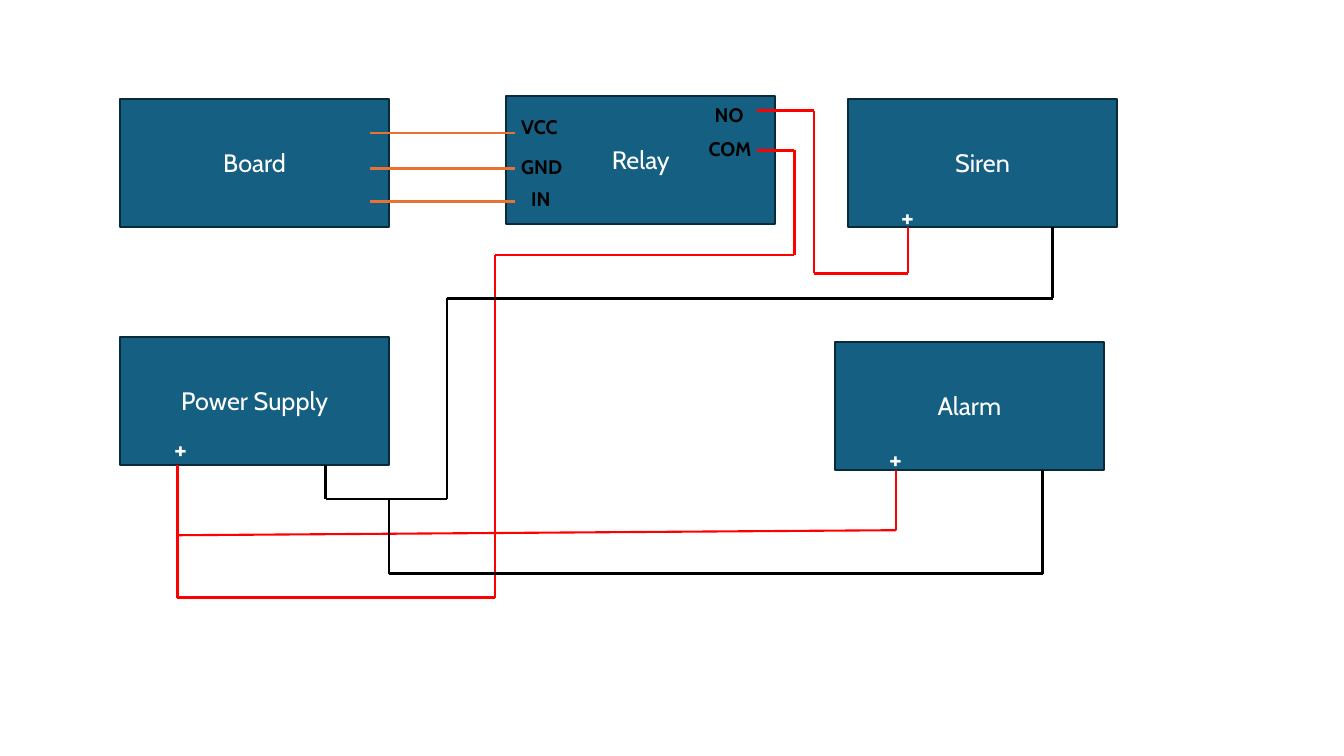
"""Builds a wiring diagram of a relay-switched siren and alarm."""
import itertools

import pptx
import pptx.dml.color
import pptx.enum.shapes
import pptx.enum.text
import pptx.oxml
import pptx.oxml.ns
import pptx.util

COLORS = {
    "device": "156082",
    "edge": "092A39",
    "light": "FFFFFF",
    "negative": "000000",
    "positive": "FF0000",
    "signal": "E97132",
}
FONT = "Cabin"
GRID = pptx.util.Inches(0.1)
DEVICE_SIZE = (26.7, 12.7)
DEVICES = {
    "Board": (11.9, 9.8),
    "Relay": (50.2, 9.5),
    "Siren": (84.1, 9.8),
    "Power Supply": (11.9, 33.4),
    "Alarm": (82.8, 33.9),
}
PLUS_OFFSETS = {"Siren": (4.3, 9.5), "Power Supply": (4.4, 8.9), "Alarm": (4.4, 9.4)}
RELAY_PINS = {
    "VCC": (0.5, 1.4, 5.9),
    "GND": (0.5, 5.4, 7.5),
    "IN": (1.5, 8.6, 7.5),
    "NO": (19.7, 0.2, 4.9),
    "COM": (19.1, 3.6, 6.5),
}


def cells(*counts):
    """Turn counts of grid cells into lengths."""
    return [round(n * GRID) for n in counts]


def color(name):
    """Return the named colour."""
    return pptx.dml.color.RGBColor.from_string(COLORS[name])


def put_text(tf, text, size=18, ink="light", bold=False, align=None, wrap=True):
    """Write one formatted line into a text frame."""
    tf.word_wrap = wrap
    p = tf.paragraphs[0]
    if align is not None:
        p.alignment = align
    r = p.add_run()
    r.text = text
    r.font.name = FONT
    r.font.size = pptx.util.Pt(size)
    r.font.bold = bold
    r.font.color.rgb = color(ink)


def add_label(slide, box, text, **fmt):
    """Add a text box at a box given in grid cells."""
    put_text(slide.shapes.add_textbox(*cells(*box)).text_frame, text, **fmt)


def add_device(slide, box, name):
    """Draw a device block with its name and its positive mark."""
    x, y = box
    sp = slide.shapes.add_shape(
        pptx.enum.shapes.MSO_SHAPE.RECTANGLE, *cells(x, y, *DEVICE_SIZE))
    sp.shadow.inherit = False
    sp.fill.solid()
    sp.fill.fore_color.rgb = color("device")
    sp.line.color.rgb = color("edge")
    sp.line.width = pptx.util.Pt(1.5)
    sp.text_frame.vertical_anchor = pptx.enum.text.MSO_ANCHOR.MIDDLE
    put_text(sp.text_frame, name, align=pptx.enum.text.PP_ALIGN.CENTER)
    if name in PLUS_OFFSETS:
        dx, dy = PLUS_OFFSETS[name]
        add_label(slide, (x + dx, y + dy, 18, 4.4), "+", size=20, bold=True)


def add_pins(slide, box):
    """Label the terminals inside the relay block."""
    x, y = box
    for name, (dx, dy, width) in RELAY_PINS.items():
        add_label(slide, (x + dx, y + dy, width, 3.4), name,
                  size=14, ink="negative", bold=True, wrap=name in ("GND", "IN"))


def add_wire(slide, ink, points, widths):
    """Join successive points with straight segments of the given widths."""
    for (start, end), width in zip(itertools.pairwise(points), widths):
        line = slide.shapes.add_connector(
            pptx.enum.shapes.MSO_CONNECTOR.STRAIGHT, *cells(*start, *end))
        line.line.color.rgb = color(ink)
        line.line.width = pptx.util.Pt(width)
        line._element.spPr.append(pptx.oxml.parse_xml(
            f"<a:effectLst {pptx.oxml.ns.nsdecls('a')}/>"))


def terminal(name, dx, dy=DEVICE_SIZE[1]):
    """Return a point measured from the corner of a device."""
    x, y = DEVICES[name]
    return x + dx, y + dy


def add_signal_wires(slide, board, relay):
    """Run the three signal wires from the board to the relay."""
    for dy in (3.4, 6.9, 10.2):
        y = board[1] + dy
        add_wire(slide, "signal", [(board[0] + 24.8, y), (relay[0] + 0.9, y)], [2])


def add_positive_wires(slide):
    """Run the positive wires between supply, relay, siren and alarm."""
    supply, siren, alarm = (
        terminal("Power Supply", 5.7), terminal("Siren", 6), terminal("Alarm", 6.1))
    normally_open, common = terminal("Relay", 24.9, 1.5), terminal("Relay", 24.9, 5.4)
    bottom, middle, siren_y, riser_x, common_x, open_x = 59.3, 25.3, 27.1, 49.1, 78.8, 80.7
    add_wire(slide, "positive",
             [supply, (supply[0], bottom), (riser_x, bottom), (riser_x, middle),
              (common_x, middle), (common_x, common[1]), common],
             [2, 2, 1.5, 2, 2, 2])
    add_wire(slide, "positive",
             [normally_open, (open_x, normally_open[1]), (open_x, siren_y),
              (siren[0], siren_y), siren],
             [2, 1.5, 2, 1.5])
    add_wire(slide, "positive",
             [(supply[0], 53.1), (alarm[0], 52.6), alarm], [1.5, 1.5])


def add_negative_wires(slide):
    """Run the negative wires from the supply to siren and alarm."""
    supply, siren, alarm = (
        terminal("Power Supply", 20.4), terminal("Siren", 20.3), terminal("Alarm", 20.6))
    top, joint, bottom, riser_x, branch_x = 29.6, 49.5, 56.9, 44.3, 38.6
    add_wire(slide, "negative",
             [siren, (siren[0], top), (riser_x, top), (riser_x, joint),
              (supply[0], joint), supply],
             [2, 2, 1.5, 2, 2])
    add_wire(slide, "negative",
             [(branch_x, joint), (branch_x, bottom), (alarm[0], bottom), alarm],
             [1.5, 1.5, 2])


def main():
    """Build and save the slide."""
    prs = pptx.Presentation()
    prs.slide_width, prs.slide_height = cells(133.3, 75)
    slide = prs.slides.add_slide(prs.slide_layouts[6])
    for name, box in DEVICES.items():
        add_device(slide, box, name)
    add_signal_wires(slide, DEVICES["Board"], DEVICES["Relay"])
    add_positive_wires(slide)
    add_negative_wires(slide)
    add_pins(slide, DEVICES["Relay"])
    prs.save("out.pptx")


if __name__ == "__main__":
    main()
